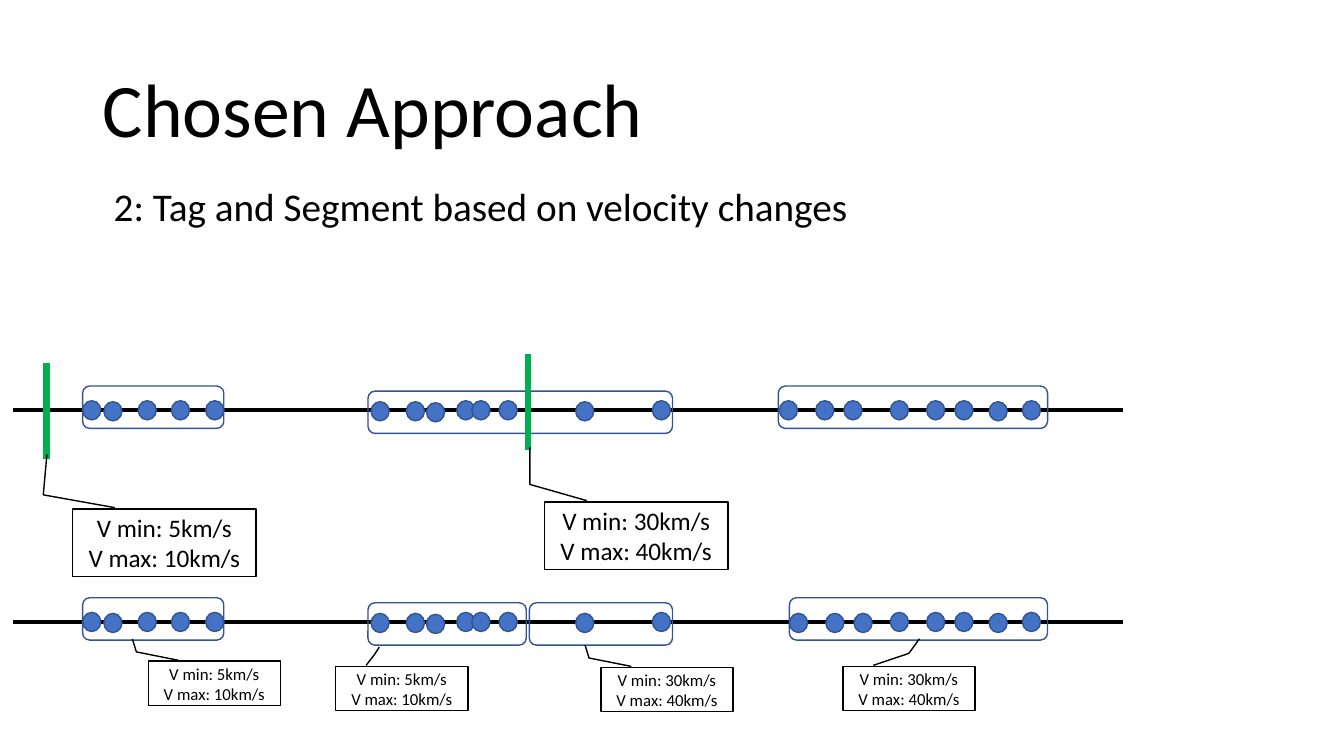
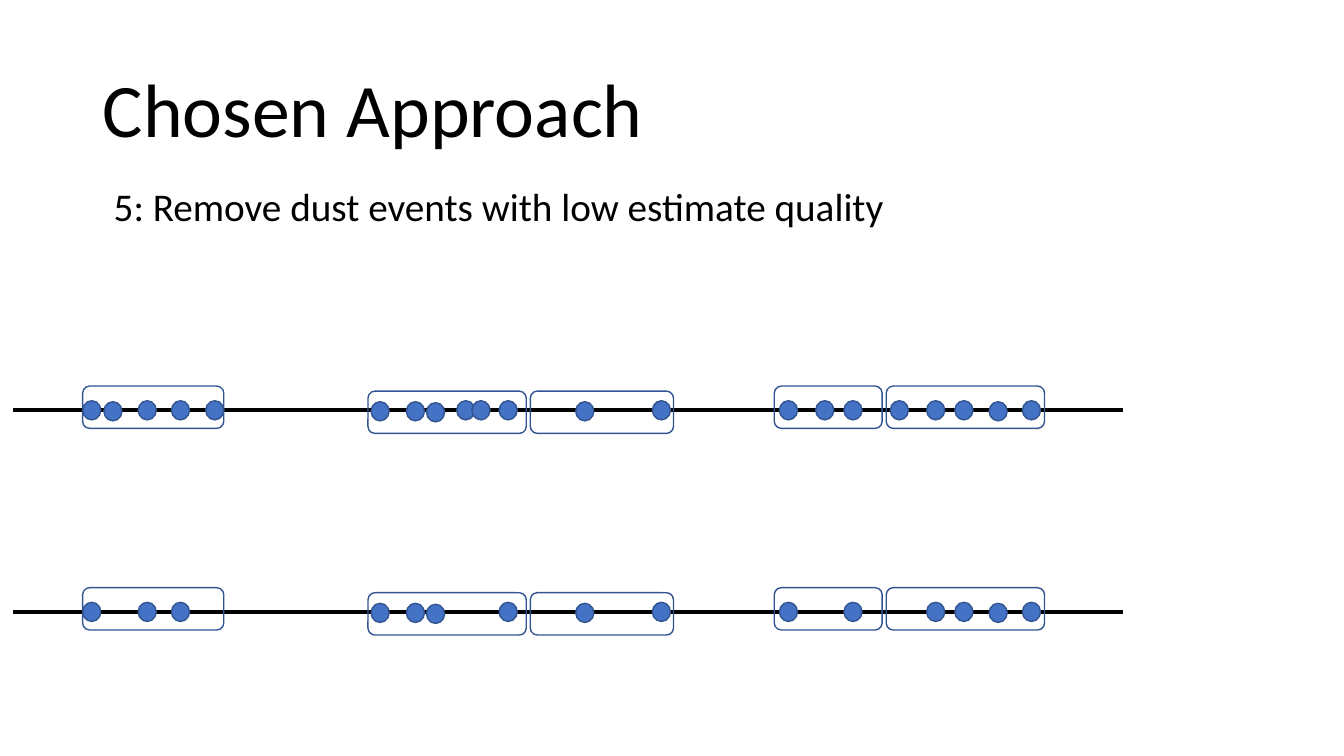
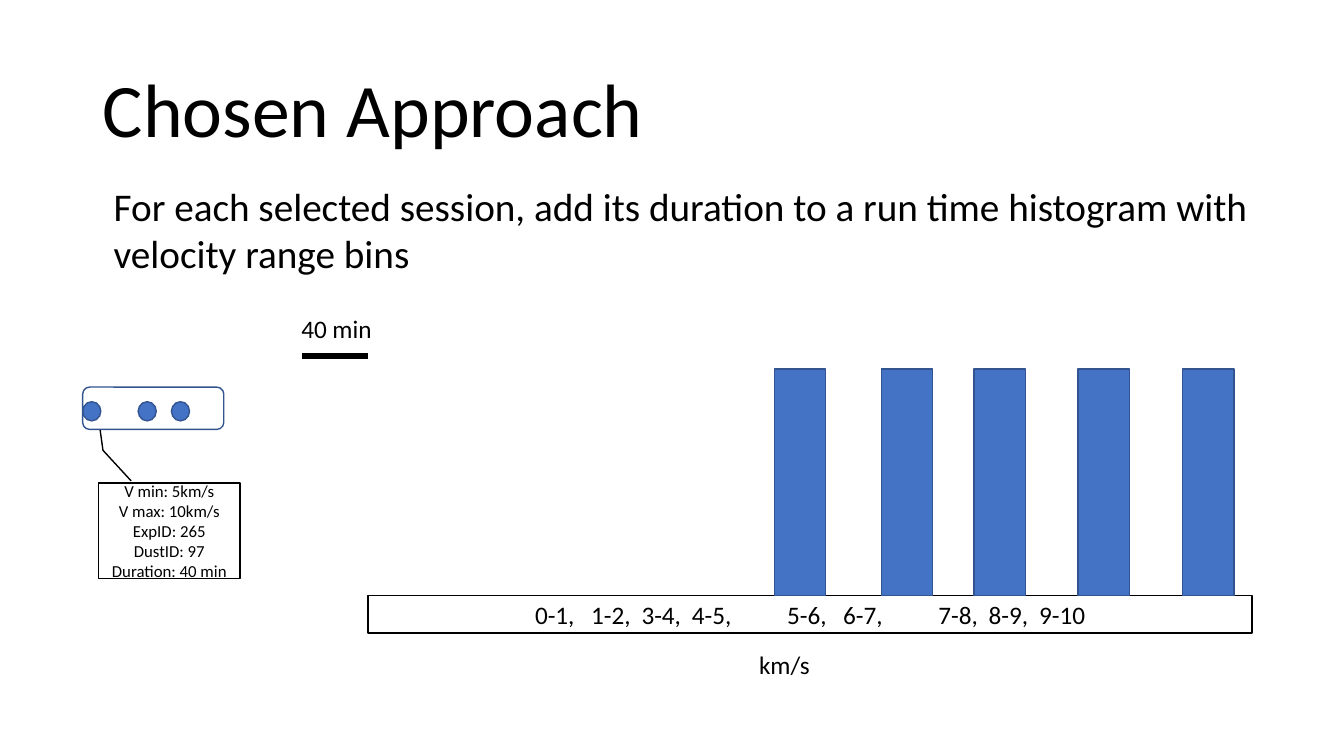
from pptx import Presentation
from pptx.dml.color import RGBColor
from pptx.enum.shapes import MSO_CONNECTOR, MSO_SHAPE
from pptx.enum.text import MSO_ANCHOR, MSO_AUTO_SIZE, PP_ALIGN
from pptx.oxml.ns import qn
from pptx.util import Inches, Pt

BLACK = RGBColor(0x00, 0x00, 0x00)
WHITE = RGBColor(0xFF, 0xFF, 0xFF)
BLUE = RGBColor(0x44, 0x72, 0xC4)
DARK_BLUE = RGBColor(0x32, 0x54, 0x91)
GREEN = RGBColor(0x00, 0xB0, 0x50)
FONT = "Calibri"

STRAIGHT = MSO_CONNECTOR.STRAIGHT
ELLIPSE = MSO_SHAPE.OVAL
RECTANGLE = MSO_SHAPE.RECTANGLE
ROUNDED = MSO_SHAPE.ROUNDED_RECTANGLE
CALLOUT = MSO_SHAPE.LINE_CALLOUT_2
MIDDLE, TOP = MSO_ANCHOR.MIDDLE, MSO_ANCHOR.TOP
LEFT, CENTER = PP_ALIGN.LEFT, PP_ALIGN.CENTER
GROW = MSO_AUTO_SIZE.SHAPE_TO_FIT_TEXT

CELL = Inches(0.1)
TITLE_ONLY = 5
TRACK_LEFT, TRACK_WIDTH = 1.3, 110.1
DOT_WIDTH, DOT_HEIGHT = 1.8, 1.9
FRAME_HEIGHT = 4.2
LOW = 0.5

EARLY_DOTS = [(6.9, 0), (9, 0.1), (12.4, 0), (15.7, 0), (19.1, 0)]
SLOW_DOTS = [(35.5, 0.1), (39, 0.1), (41, 0.2), (44, 0), (45.5, 0), (48.2, 0)]
FAST_DOTS = [(55.8, 0.1), (63.4, 0)]
LATE_DOTS = [(76, 0), (79.6, 0), (82.4, 0)]
LAST_DOTS = [(87, 0), (90.6, 0), (93.4, 0), (96.8, 0.1), (100.1, 0)]
SHIFTED_LATE_DOTS = [(column + 1, 0.1) for column, drop in LATE_DOTS]
ALL_DOTS = EARLY_DOTS + SLOW_DOTS + FAST_DOTS + LATE_DOTS + LAST_DOTS
REMOVED_COLUMNS = {9, 19.1, 44, 45.5, 79.6, 87}
GOOD_DOTS = [dot for dot in ALL_DOTS if dot[0] not in REMOVED_COLUMNS]
GOOD_EARLY_DOTS = [dot for dot in EARLY_DOTS if dot in GOOD_DOTS]

EARLY_FRAME = (6.9, 14, 0)
SLOW_FRAME = (35.2, 15.7, LOW)
UNSPLIT_FRAMES = [EARLY_FRAME, (35.2, 30.2, LOW), (75.9, 26.7, 0)]
TAGGED_FRAMES = [EARLY_FRAME, SLOW_FRAME, (51.2, 14.2, LOW), (77, 25.6, 0)]
QUALITY_FRAMES = [EARLY_FRAME, SLOW_FRAME, (51.3, 14.2, LOW),
                  (75.5, 10.7, 0), (86.6, 15.7, 0)]

SLOW_RANGE = ["V min: 5km/s", "V max: 10km/s"]
FAST_RANGE = ["V min: 30km/s", "V max: 40km/s"]


def cells(*counts):
    return [round(count * CELL) for count in counts]


def write(frame, lines, size, align=LEFT, anchor=TOP):
    frame.word_wrap = True
    frame.vertical_anchor = anchor
    frame.text = "\n".join(lines)
    for paragraph in frame.paragraphs:
        paragraph.alignment = align
        for run in paragraph.runs:
            run.font.name = FONT
            run.font.size = Pt(size)
            run.font.color.rgb = BLACK


def add_label(slide, box, text, size):
    label = slide.shapes.add_textbox(*cells(*box))
    write(label.text_frame, [text], size)
    label.text_frame.auto_size = GROW


def add_outlined(slide, kind, box, fill, outline):
    shape = slide.shapes.add_shape(kind, *cells(*box))
    shape.shadow.inherit = False
    if fill is None:
        shape.fill.background()
    else:
        shape.fill.solid()
        shape.fill.fore_color.rgb = fill
    shape.line.color.rgb = outline
    shape.line.width = Pt(1)
    return shape


def add_rule(slide, start, end, color, weight):
    rule = slide.shapes.add_connector(STRAIGHT, *cells(*start, *end))
    rule.line.color.rgb = color
    rule.line.width = Pt(weight)
    properties = rule._element.spPr
    properties.append(properties.makeelement(qn("a:effectLst"), {}))


def add_callout(slide, box, lines, size, elbow, tip):
    callout = add_outlined(slide, CALLOUT, box, WHITE, BLACK)
    for index, share in enumerate((-0.02, 0.23, *elbow, *tip)):
        callout.adjustments[index] = share
    write(callout.text_frame, lines, size, CENTER, MIDDLE)


def add_sessions(slide, left, axis, dots, frames):
    for column, drop in dots:
        box = (left + column, axis - DOT_HEIGHT / 2 + drop, DOT_WIDTH, DOT_HEIGHT)
        add_outlined(slide, ELLIPSE, box, BLUE, DARK_BLUE)
    for column, width, drop in frames:
        box = (left + column, axis - 2.4 + drop, width, FRAME_HEIGHT)
        add_outlined(slide, ROUNDED, box, None, DARK_BLUE)


def add_timeline(slide, axis, dots, frames):
    add_rule(slide, (TRACK_LEFT, axis), (TRACK_LEFT + TRACK_WIDTH, axis), BLACK, 3)
    add_sessions(slide, TRACK_LEFT, axis, dots, frames)


def add_velocity_change(slide, column, top):
    add_rule(slide, (column, top), (column, top + 9.5), GREEN, 4.5)


def add_histogram(slide, left, top, width, height):
    axis_height = 3.7
    bar_height = height - axis_height
    bins = add_outlined(slide, RECTANGLE, (left, top + bar_height, width, axis_height),
                        WHITE, BLACK)
    write(bins.text_frame,
          ["0-1,\t 1-2,\t 3-4,\t 4-5, \t5-6,\t 6-7, \t7-8, \t8-9, \t9-10"],
          18, CENTER, MIDDLE)
    for column in (40.3, 50.9, 60.1, 70.4, 80.8):
        add_outlined(slide, RECTANGLE, (left + column, top, 5.1, bar_height),
                     BLUE, DARK_BLUE)
    add_label(slide, (left + 37.8, top + height + 1.1, 29.1, 4), "km/s", 18)
    add_rule(slide, (left - 6.5, top - 1.3), (left, top - 1.3), BLACK, 4.5)
    add_label(slide, (left - 7.6, top - 6, 9.7, 4), "40 min", 18)


def add_approach_slide(deck, step, step_height=5.7):
    slide = deck.slides.add_slide(deck.slide_layouts[TITLE_ONLY])
    title = slide.shapes.title
    title.left, title.top, title.width, title.height = cells(9.2, 4, 115, 14.5)
    write(title.text_frame, ["Chosen Approach"], 54, LEFT, MIDDLE)
    title.text_frame.paragraphs[0].line_spacing = 0.9
    add_label(slide, (10.3, 17.6, 115, step_height), step, 28)
    return slide


def build_segment_slide(deck):
    slide = add_approach_slide(deck, "2: Tag and Segment based on velocity changes")
    add_timeline(slide, 40.7, ALL_DOTS, UNSPLIT_FRAMES)
    add_velocity_change(slide, 4.6, 36)
    add_velocity_change(slide, 52.4, 35.1)
    add_callout(slide, (7.2, 50.5, 18.2, 6.7), SLOW_RANGE, 18,
                (-0.21, -0.16), (-0.81, -0.14))
    add_callout(slide, (54, 49.8, 18.2, 6.7), FAST_RANGE, 18,
                (-0.26, -0.08), (-0.81, -0.08))
    tagged_dots = EARLY_DOTS + SLOW_DOTS + FAST_DOTS + SHIFTED_LATE_DOTS + LAST_DOTS
    add_timeline(slide, 61.7, tagged_dots, TAGGED_FRAMES)
    tags = [
        (14.7, 65.6, SLOW_RANGE, (-0.21, -0.09), (-0.5, -0.12)),
        (33.3, 66.1, SLOW_RANGE, (-0.25, 0.29), (-0.43, 0.33)),
        (59.6, 66.2, FAST_RANGE, (-0.21, -0.09), (-0.5, -0.12)),
        (83.6, 66.1, FAST_RANGE, (-0.29, 0.5), (-0.62, 0.58)),
    ]
    for left, top, lines, elbow, tip in tags:
        add_callout(slide, (left, top, 13.1, 4.4), lines, 12, elbow, tip)


def build_quality_slide(deck):
    slide = add_approach_slide(deck, "5: Remove dust events with low estimate quality")
    add_timeline(slide, 40.7, ALL_DOTS, QUALITY_FRAMES)
    add_timeline(slide, 60.7, GOOD_DOTS, QUALITY_FRAMES)


def build_histogram_slide(deck):
    slide = add_approach_slide(
        deck, "For each selected session, add its duration to a run time histogram "
        "with velocity range bins", 10.4)
    add_sessions(slide, TRACK_LEFT, 40.8, GOOD_EARLY_DOTS, [EARLY_FRAME])
    add_callout(slide, (9.8, 47.9, 14, 9.5),
                SLOW_RANGE + ["ExpID: 265", "DustID: 97", "Duration: 40 min"], 12,
                (-0.34, 0.03), (-0.55, 0.01))
    add_histogram(slide, 36.5, 36.6, 87.7, 26.2)


def main():
    deck = Presentation()
    deck.slide_width, deck.slide_height = Inches(13.33), Inches(7.5)
    build_segment_slide(deck)
    build_quality_slide(deck)
    build_histogram_slide(deck)
    deck.save("out.pptx")


if __name__ == "__main__":
    main()
